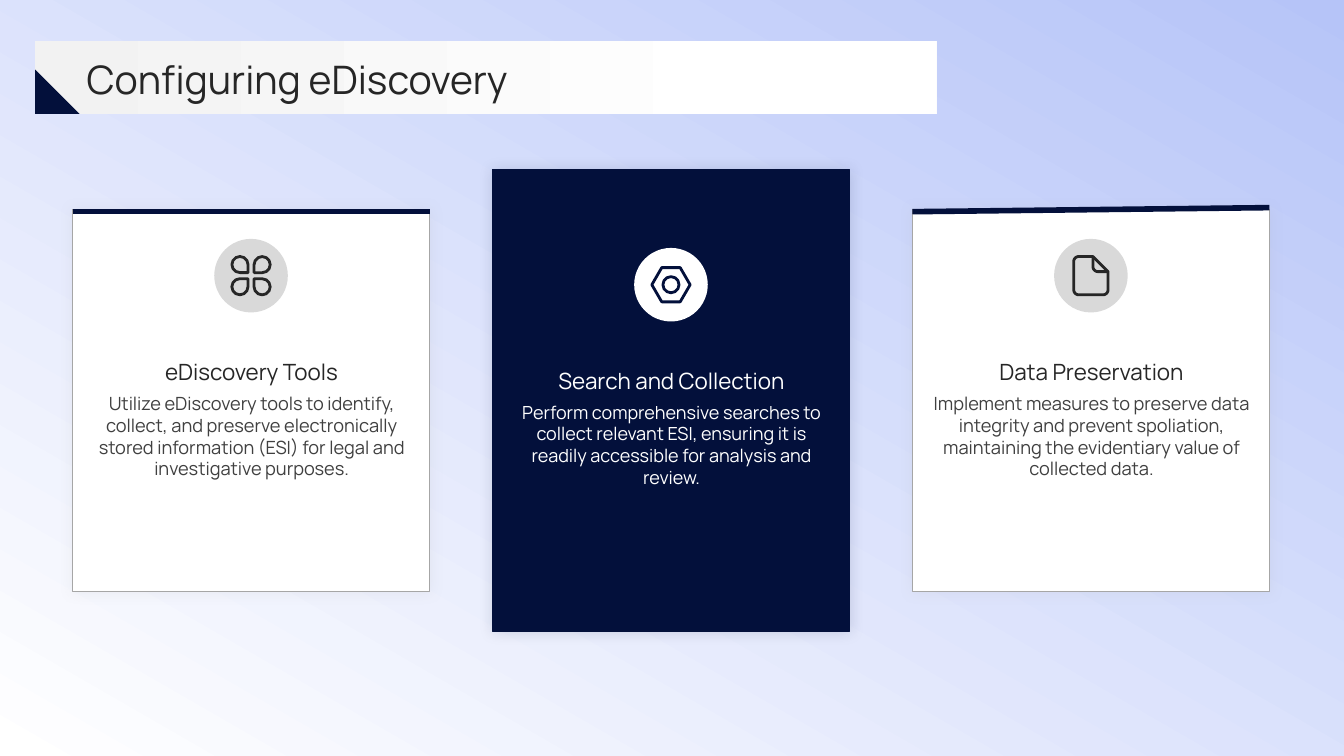
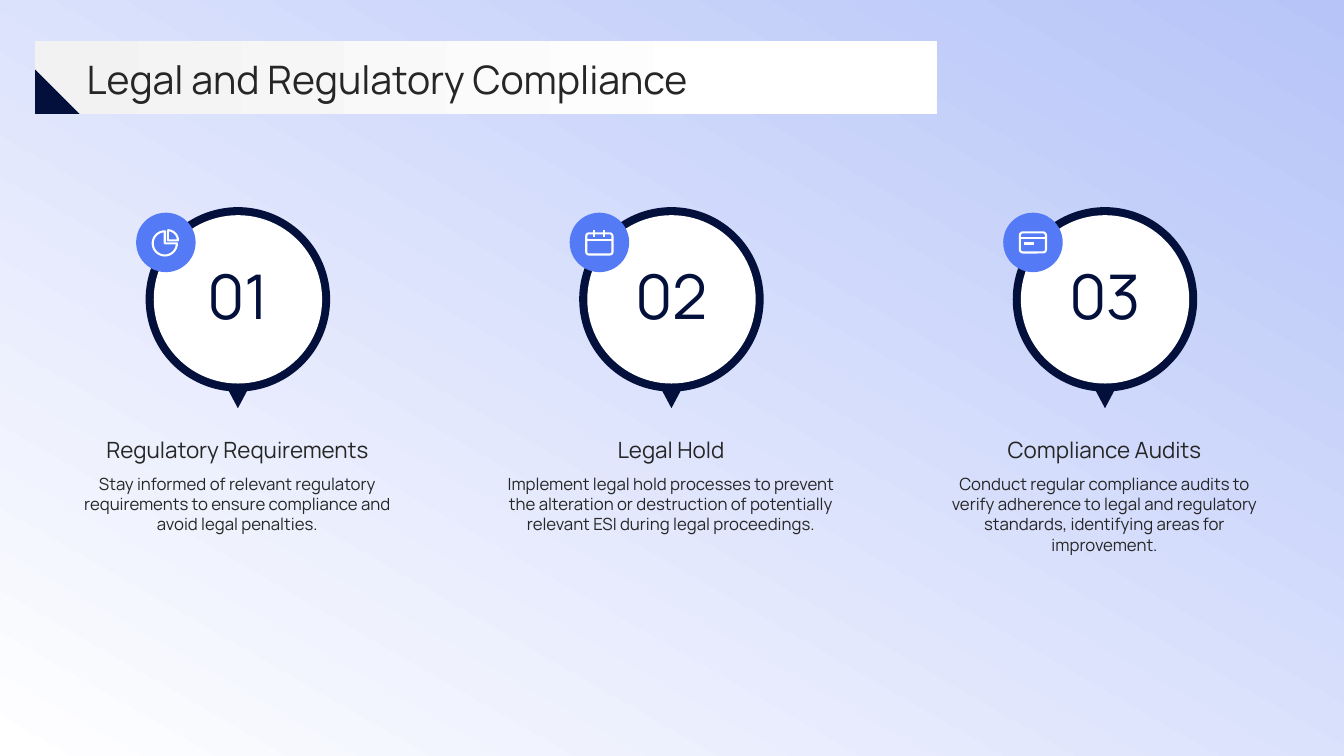
from math import asin, cos, degrees, radians, sin

from lxml import etree
from pptx import Presentation
from pptx.dml.color import RGBColor
from pptx.enum.shapes import MSO_CONNECTOR, MSO_SHAPE as Preset
from pptx.enum.text import MSO_ANCHOR as Anchor, MSO_AUTO_SIZE, PP_ALIGN as Align
from pptx.oxml.ns import qn
from pptx.util import Inches, Pt

# Shared style
FONT = "Manrope"
NAVY, BLUE, WHITE = "03103B", "547AF6", "FFFFFF"
INK, BODY_GREY, EDGE_GREY, DISC_GREY = "262626", "404040", "A6A6A6", "D9D9D9"

# Content
CARDS_TITLE = "Configuring eDiscovery"
CARDS = [
    ("eDiscovery Tools", "Utilize eDiscovery tools to identify, collect, and preserve "
     "electronically stored information (ESI) for legal and investigative purposes.", "petals"),
    ("Search and Collection", "Perform comprehensive searches to collect relevant ESI, "
     "ensuring it is readily accessible for analysis and review.", "nut"),
    ("Data Preservation", "Implement measures to preserve data integrity and prevent spoliation, "
     "maintaining the evidentiary value of collected data.", "file"),
]
PINS_TITLE = "Legal and Regulatory Compliance"
PINS = [
    ("Regulatory Requirements", "Stay informed of relevant regulatory requirements to ensure "
     "compliance and avoid legal penalties.", "pie"),
    ("Legal Hold", "Implement legal hold processes to prevent the alteration or destruction "
     "of potentially relevant ESI during legal proceedings.", "calendar"),
    ("Compliance Audits", "Conduct regular compliance audits to verify adherence to legal and "
     "regulatory standards, identifying areas for improvement.", "payment card"),
]

# Card styles: the middle card is taller and dark
SIDE_CARD = dict(top=2.08, height=3.79, disc_top=2.37, fill=WHITE, edge=EDGE_GREY,
                 disc=DISC_GREY, icon=INK, heading=INK, body=BODY_GREY, size=13)
MIDDLE_CARD = dict(top=1.68, height=4.58, disc_top=2.46, fill=NAVY, edge=NAVY,
                   disc=WHITE, icon=NAVY, heading=WHITE, body=WHITE, size=12.9)
CARD_STYLES = [SIDE_CARD, MIDDLE_CARD, SIDE_CARD]
CARD_BARS = [(2.1, 2.1), None, (2.1, 2.06)]


def rgb(value):
    return RGBColor.from_string(value)


# Drawing helpers
def paint(shape, fill=None, line=None, width=1):
    shape.shadow.inherit = False
    if fill:
        shape.fill.solid()
        shape.fill.fore_color.rgb = rgb(fill)
    else:
        shape.fill.background()
    if line:
        shape.line.color.rgb = rgb(line)
        shape.line.width = Pt(width)
    else:
        shape.line.fill.background()
    return shape


def paint_gradient(fill, stops, angle):
    fill.gradient()
    fill.gradient_angle = angle
    for stop, (position, color) in zip(fill.gradient_stops, stops):
        stop.position = position
        stop.color.rgb = rgb(color)


def add_preset(slide, preset, box, **style):
    return paint(slide.shapes.add_shape(preset, *map(Inches, box)), **style)


def add_outline(slide, points, **style):
    points = [(Inches(x), Inches(y)) for x, y in points]
    builder = slide.shapes.build_freeform(*points[0], scale=1.0)
    builder.add_line_segments(points[1:], close=style.pop("close", True))
    return paint(builder.convert_to_shape(), **style)


def add_line(slide, start, end, color, width):
    line = slide.shapes.add_connector(MSO_CONNECTOR.STRAIGHT, *map(Inches, (*start, *end)))
    line.line.color.rgb = rgb(color)
    line.line.width = Pt(width)
    etree.SubElement(line.element.spPr, qn("a:effectLst"))


def add_glow(shape, color):
    effects = shape.element.spPr.find(qn("a:effectLst"))
    shadow = etree.SubElement(effects, qn("a:outerShdw"), blurRad=str(Pt(10)), dist="0", dir="0",
                              algn="ctr", rotWithShape="0")
    tint = etree.SubElement(shadow, qn("a:srgbClr"), val=color)
    etree.SubElement(tint, qn("a:alpha"), val="15000")


def write(shape, text, size, color, align=Align.CENTER, anchor=Anchor.TOP):
    frame = shape.text_frame
    frame.word_wrap = True
    frame.auto_size = MSO_AUTO_SIZE.NONE
    frame.vertical_anchor = anchor
    frame.margin_left = frame.margin_right = frame.margin_top = frame.margin_bottom = 0
    paragraph = frame.paragraphs[0]
    paragraph.alignment = align
    run = paragraph.add_run()
    run.text = text
    run.font.name = FONT
    run.font.size = Pt(size)
    run.font.color.rgb = rgb(color)


def add_text(slide, box, text, size, color, anchor=Anchor.TOP):
    write(slide.shapes.add_textbox(*map(Inches, box)), text, size, color, anchor=anchor)


def arc(x, y, radius, start, end, steps=24):
    """Points of an arc; angles in degrees, clockwise from the right."""
    angles = [radians(start + (end - start) * i / steps) for i in range(steps + 1)]
    return [(x + radius * cos(a), y + radius * sin(a)) for a in angles]


# Icons, each drawn around its centre
def draw_petals(slide, x, y, color):
    size = 0.16
    for dx, dy, turn in [(-1, -1, 90), (1, -1, 180), (1, 1, 270), (-1, 1, 0)]:
        box = (x + dx * 0.11 - size / 2, y + dy * 0.11 - size / 2, size, size)
        add_preset(slide, Preset.TEAR, box, line=color, width=2).rotation = turn


def draw_nut(slide, x, y, color):
    nut = add_preset(slide, Preset.HEXAGON, (x - 0.19, y - 0.17, 0.38, 0.34), line=color, width=2)
    nut.adjustments[0] = 0.29
    add_preset(slide, Preset.OVAL, (x - 0.08, y - 0.08, 0.16, 0.16), line=color, width=2)


def draw_file(slide, x, y, color):
    right, bottom, fold_x, fold_y, radius = x + 0.17, y + 0.19, x + 0.02, y - 0.04, 0.05
    left, top = x - 0.17, y - 0.19
    page = [(fold_x, top), (right, fold_y)]
    page += arc(right - radius, bottom - radius, radius, 0, 90)
    page += arc(left + radius, bottom - radius, radius, 90, 180)
    page += arc(left + radius, top + radius, radius, 180, 270)
    add_outline(slide, page, line=color, width=2)
    fold = [(fold_x, top), *arc(fold_x + radius, fold_y - radius, radius, 180, 90), (right, fold_y)]
    add_outline(slide, fold, close=False, line=color, width=2)


def draw_pie(slide, x, y, color):
    for dx, dy, radius, start, end in [(-0.01, 0.01, 0.12, 0, 270), (0.02, -0.02, 0.1, 270, 360)]:
        center = (x + dx, y + dy)
        add_outline(slide, [center, *arc(*center, radius, start, end)], line=color, width=1.5)


def draw_calendar(slide, x, y, color):
    page = add_preset(slide, Preset.ROUNDED_RECTANGLE, (x - 0.13, y - 0.09, 0.26, 0.21),
                      line=color, width=1.5)
    page.adjustments[0] = 0.12
    add_line(slide, (x - 0.13, y - 0.02), (x + 0.13, y - 0.02), color, 1.5)
    for dx in (-0.05, 0.05):
        add_line(slide, (x + dx, y - 0.12), (x + dx, y - 0.05), color, 1.5)


def draw_payment_card(slide, x, y, color):
    card = add_preset(slide, Preset.ROUNDED_RECTANGLE, (x - 0.13, y - 0.1, 0.26, 0.2),
                      line=color, width=1.5)
    card.adjustments[0] = 0.15
    add_line(slide, (x - 0.13, y - 0.04), (x + 0.13, y - 0.04), color, 1.5)
    add_line(slide, (x - 0.09, y + 0.01), (x + 0.01, y + 0.01), color, 1.8)


ICONS = {"petals": draw_petals, "nut": draw_nut, "file": draw_file, "pie": draw_pie,
         "calendar": draw_calendar, "payment card": draw_payment_card}


def add_icon_disc(slide, left, top, size, disc_color, icon, icon_color):
    add_preset(slide, Preset.OVAL, (left, top, size, size), fill=disc_color)
    ICONS[icon](slide, left + size / 2, top + size / 2, icon_color)


# Slides
def add_titled_slide(presentation, title_text):
    slide = presentation.slides.add_slide(presentation.slide_layouts[5])
    band = add_preset(slide, Preset.RECTANGLE, (0.35, 0.41, 8.94, 0.72))
    paint_gradient(band.fill, [(0, "F2F2F2"), (0.8, WHITE)], 0)
    add_preset(slide, Preset.RIGHT_TRIANGLE, (0.35, 0.69, 0.44, 0.44), fill=NAVY)
    title = slide.shapes.title
    title.left, title.top, title.width, title.height = map(Inches, (0.86, 0.53, 11.67, 0.51))
    write(title, title_text, 28, INK, Align.LEFT, Anchor.MIDDLE)
    # Bring the title in front of its band
    title.element.getparent().append(title.element)
    return slide


def build_cards(presentation):
    slide = add_titled_slide(presentation, CARDS_TITLE)
    width, pitch, disc = 3.54, 4.165, 0.73
    for i, ((heading, body, icon), style, bar) in enumerate(zip(CARDS, CARD_STYLES, CARD_BARS)):
        left, disc_top = 0.72 + i * pitch, style["disc_top"]
        card = add_preset(slide, Preset.RECTANGLE, (left, style["top"], width, style["height"]),
                          fill=style["fill"], line=style["edge"], width=0.25)
        add_glow(card, style["edge"])
        if bar:
            add_line(slide, (left, bar[0]), (left + width, bar[1]), NAVY, 4)
        add_icon_disc(slide, left + (width - disc) / 2, disc_top, disc, style["disc"],
                      icon, style["icon"])
        add_text(slide, (left + 0.2, disc_top + 0.83, 3.15, 0.62), heading, 16,
                 style["heading"], Anchor.BOTTOM)
        add_text(slide, (left + 0.2, disc_top + 1.52, 3.15, 1.5), body, style["size"],
                 style["body"])


def build_pins(presentation):
    slide = add_titled_slide(presentation, PINS_TITLE)
    pitch, center_y, radius, dial = 4.3, 2.97, 0.915, 1.67
    # Half the angle that the pointer takes from the ring
    gap = degrees(asin(0.09 / radius))
    for i, (heading, body, icon) in enumerate(PINS):
        x = 2.36 + i * pitch
        ring = arc(x, center_y, radius, 90 + gap, 450 - gap, steps=120)
        add_outline(slide, [*ring, (x, 4.05)], fill=NAVY)
        add_preset(slide, Preset.OVAL, (x - dial / 2, center_y - dial / 2, dial, dial), fill=WHITE)
        add_icon_disc(slide, x - 1.01, 2.11, 0.59, BLUE, icon, WHITE)
        add_text(slide, (x - 0.5, 2.56, 1, 0.97), f"{i + 1:02}", 44, NAVY)
        add_text(slide, (x - 1.64, 4.22, 3.27, 0.47), heading, 16, INK, Anchor.MIDDLE)
        add_text(slide, (x - 1.64, 4.7, 3.27, 1.29), body, 12, INK)


def main():
    presentation = Presentation()
    presentation.slide_width, presentation.slide_height = Inches(13.33), Inches(7.5)
    paint_gradient(presentation.slide_master.background.fill, [(0, "B6C4F8"), (1, WHITE)], 240)
    build_cards(presentation)
    build_pins(presentation)
    presentation.save("out.pptx")


if __name__ == "__main__":
    main()
